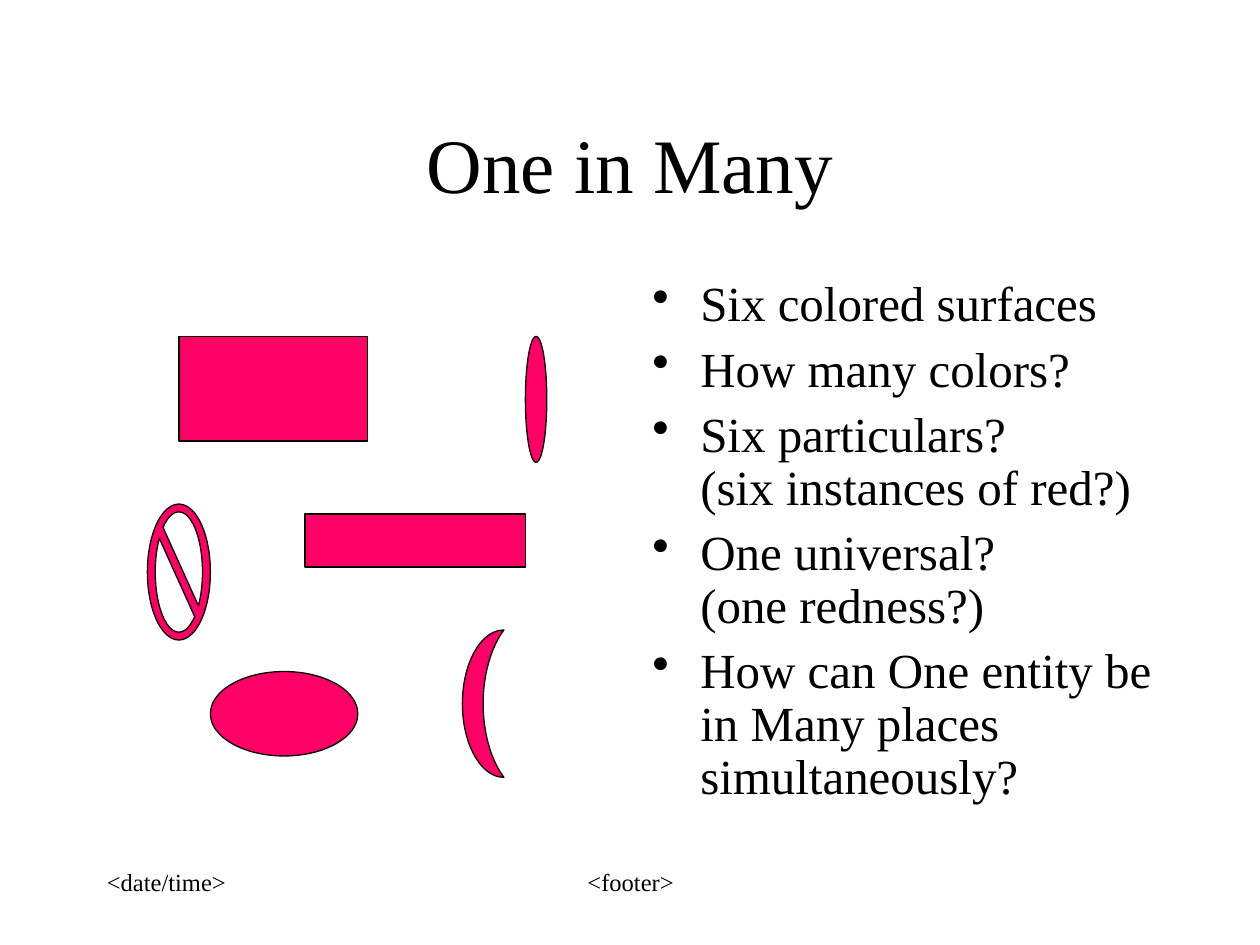
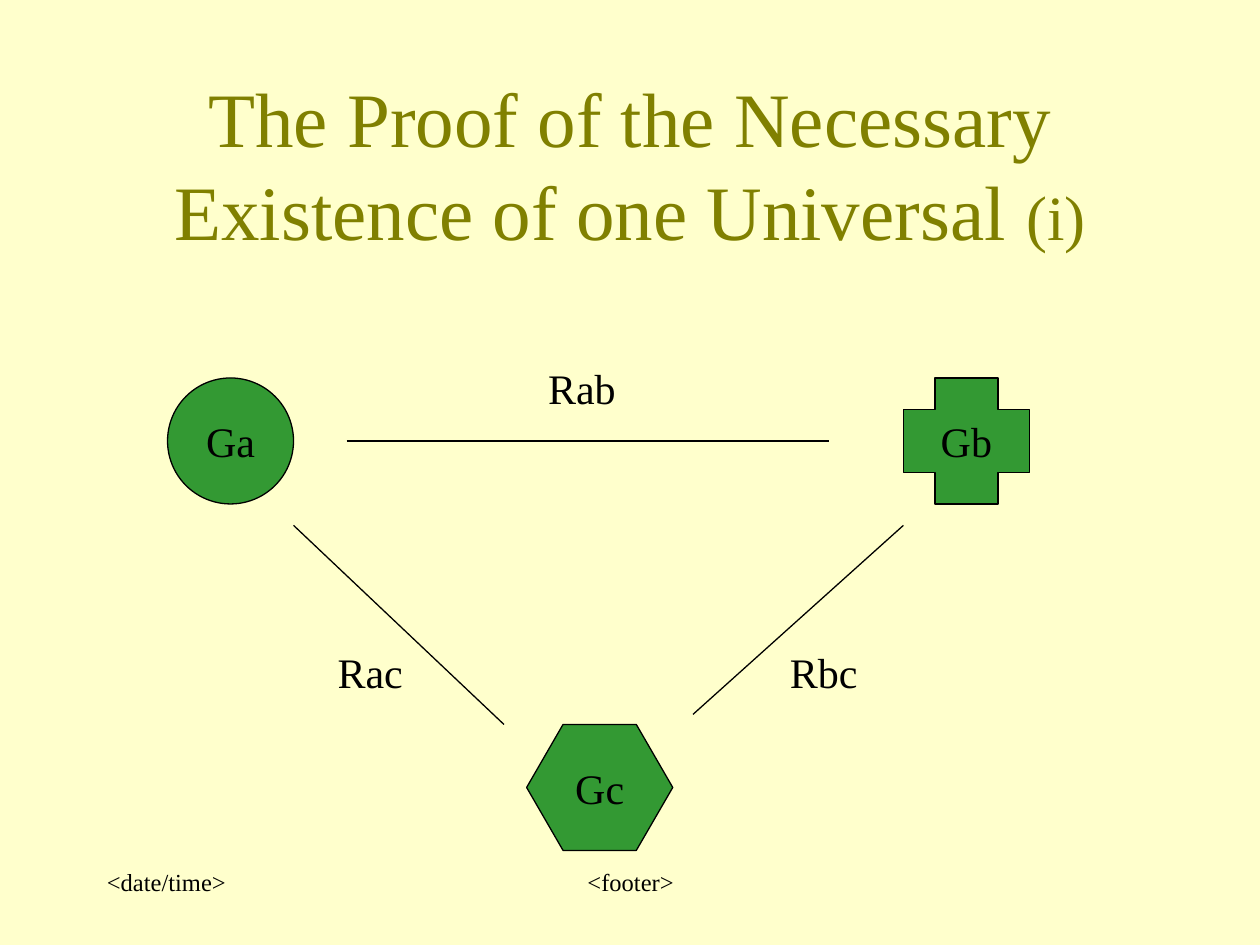
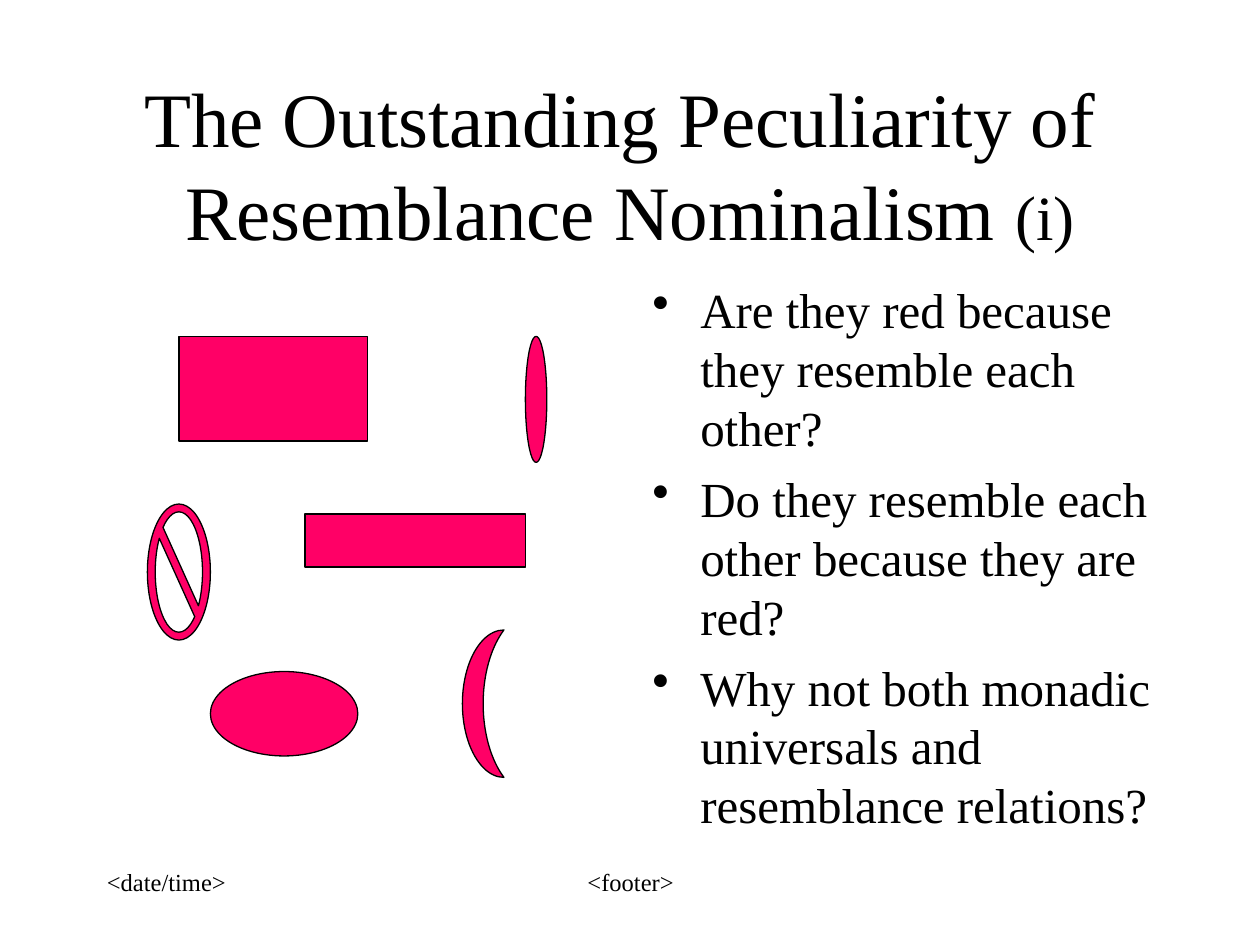
from lxml import etree
from pptx import Presentation
from pptx.dml.color import RGBColor
from pptx.enum.shapes import MSO_CONNECTOR, MSO_SHAPE
from pptx.enum.text import MSO_ANCHOR, MSO_AUTO_SIZE, PP_ALIGN
from pptx.oxml.ns import qn
from pptx.util import Inches, Pt

BLACK = RGBColor(0x00, 0x00, 0x00)
WHITE = RGBColor(0xFF, 0xFF, 0xFF)
CREAM = RGBColor(0xFF, 0xFF, 0xCC)
OLIVE = RGBColor(0x80, 0x80, 0x00)
CRIMSON = RGBColor(0xFF, 0x00, 0x66)
GREEN = RGBColor(0x33, 0x99, 0x33)

FONT = "Times New Roman"
TITLE_SIZE, SUFFIX_SIZE, BODY_SIZE, LABEL_SIZE, FOOTER_SIZE = 44, 36, 28, 24, 14
LINE_WIDTH = 0.75
TITLE_ONLY = 5

LEFT, CENTER = PP_ALIGN.LEFT, PP_ALIGN.CENTER
TOP, MIDDLE = MSO_ANCHOR.TOP, MSO_ANCHOR.MIDDLE
NO_AUTOFIT = MSO_AUTO_SIZE.NONE
STRAIGHT = MSO_CONNECTOR.STRAIGHT
RECTANGLE, OVAL, MOON = MSO_SHAPE.RECTANGLE, MSO_SHAPE.OVAL, MSO_SHAPE.MOON
NO_SYMBOL, HEXAGON, CROSS = MSO_SHAPE.NO_SYMBOL, MSO_SHAPE.HEXAGON, MSO_SHAPE.CROSS

# Kind, left, top, width, height, adjustment
RED_SURFACES = [
    (RECTANGLE, 1.42, 2.67, 1.5, 0.83, None),
    (RECTANGLE, 2.42, 4.08, 1.75, 0.42, None),
    (OVAL, 1.67, 5.33, 1.17, 0.67, None),
    (OVAL, 4.17, 2.67, 0.17, 1, None),
    (MOON, 3.67, 5, 0.33, 1.17, 0.5),
    (NO_SYMBOL, 1.17, 4, 0.5, 1.08, 0.125),
]


class Deck:
    """Holds the shared style and the slide being filled."""

    def __init__(self):
        self.presentation = Presentation()
        self.presentation.slide_width = Inches(10)
        self.presentation.slide_height = Inches(7.5)
        self.slide = None

    def add_slide(self, title, suffix="", background=WHITE, title_color=BLACK):
        layout = self.presentation.slide_layouts[TITLE_ONLY]
        self.slide = self.presentation.slides.add_slide(layout)
        self.slide.background.fill.solid()
        self.slide.background.fill.fore_color.rgb = background
        self.text_box("<footer>", 3.42, 6.83, 3.17, 0.5, FOOTER_SIZE, CENTER)
        self.text_box("<date/time>", 0.75, 6.83, 2.08, 0.5, FOOTER_SIZE)

        placeholder = self.slide.shapes.title
        placeholder.left, placeholder.top = Inches(0.75), Inches(0.67)
        placeholder.width, placeholder.height = Inches(8.5), Inches(1.25)
        frame = self.frame(placeholder, MIDDLE)
        paragraph = frame.paragraphs[0]
        paragraph.alignment = CENTER
        self.runs(paragraph, title, TITLE_SIZE, title_color)
        if suffix:
            self.runs(paragraph, suffix, SUFFIX_SIZE, title_color)

    def frame(self, shape, anchor=TOP, wrap=True, indent=0.1):
        frame = shape.text_frame
        frame.auto_size = NO_AUTOFIT
        frame.word_wrap = wrap
        frame.vertical_anchor = anchor
        frame.margin_left, frame.margin_right = Inches(indent), Inches(0.1)
        frame.margin_top = frame.margin_bottom = Inches(0.05)
        return frame

    def runs(self, paragraph, text, size, color=BLACK):
        for index, line in enumerate(text.split("\n")):
            if index:
                paragraph.add_line_break()
            run = paragraph.add_run()
            run.text = line
            run.font.name = FONT
            run.font.size = Pt(size)
            run.font.color.rgb = color

    def text_box(self, text, left, top, width, height, size, alignment=LEFT, indent=0.1):
        box = self.slide.shapes.add_textbox(
            Inches(left), Inches(top), Inches(width), Inches(height))
        paragraph = self.frame(box, indent=indent).paragraphs[0]
        paragraph.alignment = alignment
        self.runs(paragraph, text, size)

    def bullets(self, items, line_spacing=1.0):
        box = self.slide.shapes.add_textbox(
            Inches(5.08), Inches(2.17), Inches(4.17), Inches(4.5))
        frame = self.frame(box)
        for index, item in enumerate(items):
            paragraph = frame.add_paragraph() if index else frame.paragraphs[0]
            properties = paragraph._p.get_or_add_pPr()
            properties.set("marL", str(Inches(0.38)))
            properties.set("indent", str(-Inches(0.38)))
            etree.SubElement(properties, qn("a:buChar"), char="•")
            paragraph.line_spacing = line_spacing
            if index:
                paragraph.space_before = Pt(7)
            self.runs(paragraph, item, BODY_SIZE)

    def shape(self, kind, left, top, width, height, fill, adjustment=None, label=""):
        shape = self.slide.shapes.add_shape(
            kind, Inches(left), Inches(top), Inches(width), Inches(height))
        shape.shadow.inherit = False
        shape.fill.solid()
        shape.fill.fore_color.rgb = fill
        shape.line.color.rgb = BLACK
        shape.line.width = Pt(LINE_WIDTH)
        if adjustment is not None:
            shape.adjustments[0] = adjustment
        if label:
            paragraph = self.frame(shape, MIDDLE, wrap=False).paragraphs[0]
            paragraph.alignment = CENTER
            self.runs(paragraph, label, LABEL_SIZE)

    def line(self, start, end):
        connector = self.slide.shapes.add_connector(
            STRAIGHT, *(Inches(value) for value in start + end))
        connector.line.color.rgb = BLACK
        connector.line.width = Pt(LINE_WIDTH)
        etree.SubElement(connector._element.spPr, qn("a:effectLst"))

    def red_surfaces(self):
        for kind, left, top, width, height, adjustment in RED_SURFACES:
            self.shape(kind, left, top, width, height, CRIMSON, adjustment)


def main():
    deck = Deck()

    # One in Many
    deck.add_slide("One in Many")
    deck.bullets([
        "Six colored surfaces",
        "How many colors?",
        "Six particulars?\n(six instances of red?)",
        "One universal?\n(one redness?)",
        "How can One entity be in Many places simultaneously?",
    ], line_spacing=0.9)
    deck.red_surfaces()

    # Triangle of particulars and their relations
    deck.add_slide("The Proof of the Necessary Existence of one Universal ", "(i)",
                   CREAM, OLIVE)
    for kind, left, top, width, adjustment, label in [
        (OVAL, 1.33, 3, 1, None, "Ga"),
        (HEXAGON, 4.18, 5.75, 1.16, 0.289, "Gc"),
        (CROSS, 7.17, 3, 1, 0.25, "Gb"),
    ]:
        deck.shape(kind, left, top, width, 1, GREEN, adjustment, label)
    for start, end in [
        ((2.75, 3.5), (6.58, 3.5)),
        ((2.33, 4.17), (4, 5.75)),
        ((7.17, 4.17), (5.5, 5.67)),
    ]:
        deck.line(start, end)
    for relation, left, top, width, indent in [
        ("Rab", 4, 2.83, 1.25, 0.35),
        ("Rac", 2.17, 5.08, 1.17, 0.51),
        ("Rbc", 6.17, 5.08, 0.92, 0.1),
    ]:
        deck.text_box(relation, left, top, width, 0.5, LABEL_SIZE, indent=indent)

    # Resemblance Nominalism
    deck.add_slide("The Outstanding Peculiarity of \nResemblance Nominalism ", "(i)")
    deck.bullets([
        "Are they red because they resemble each other?",
        "Do they resemble each other because they are red?",
        "Why not both monadic universals and resemblance relations?",
    ])
    deck.red_surfaces()

    deck.presentation.save("out.pptx")


if __name__ == "__main__":
    main()
